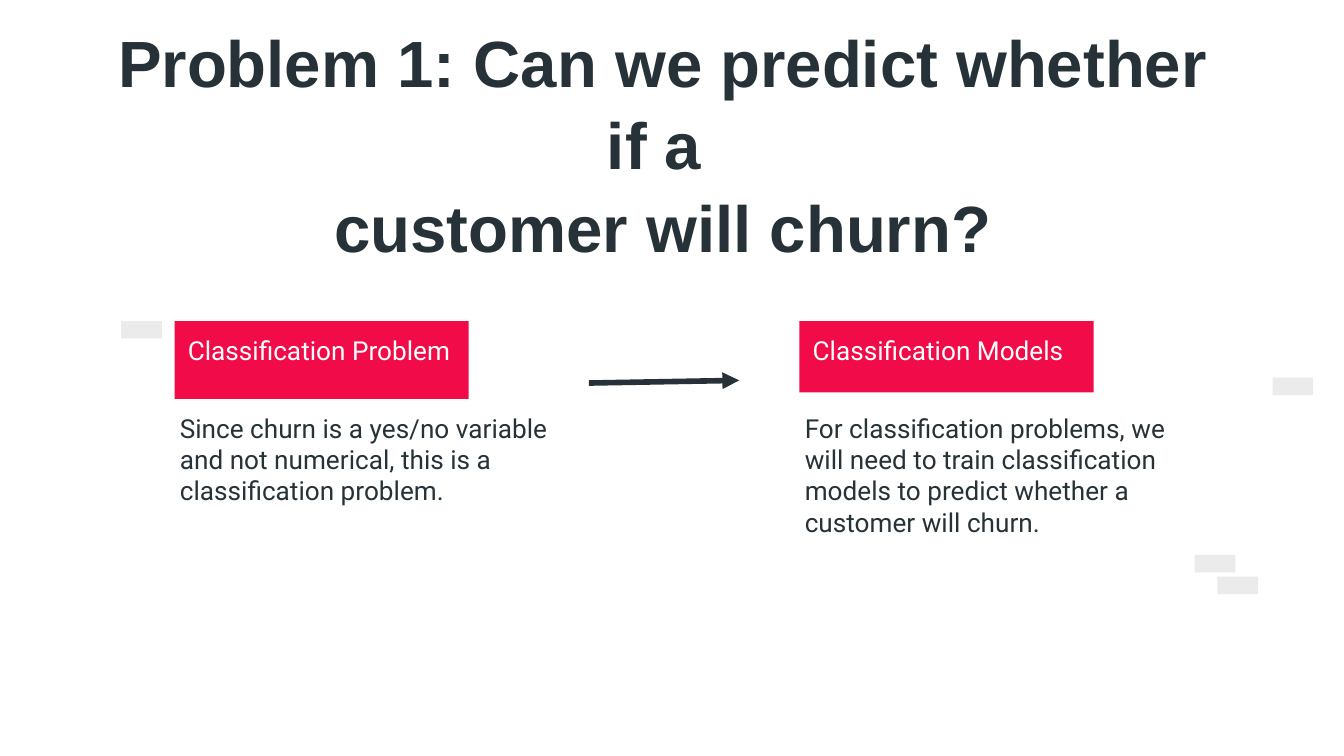
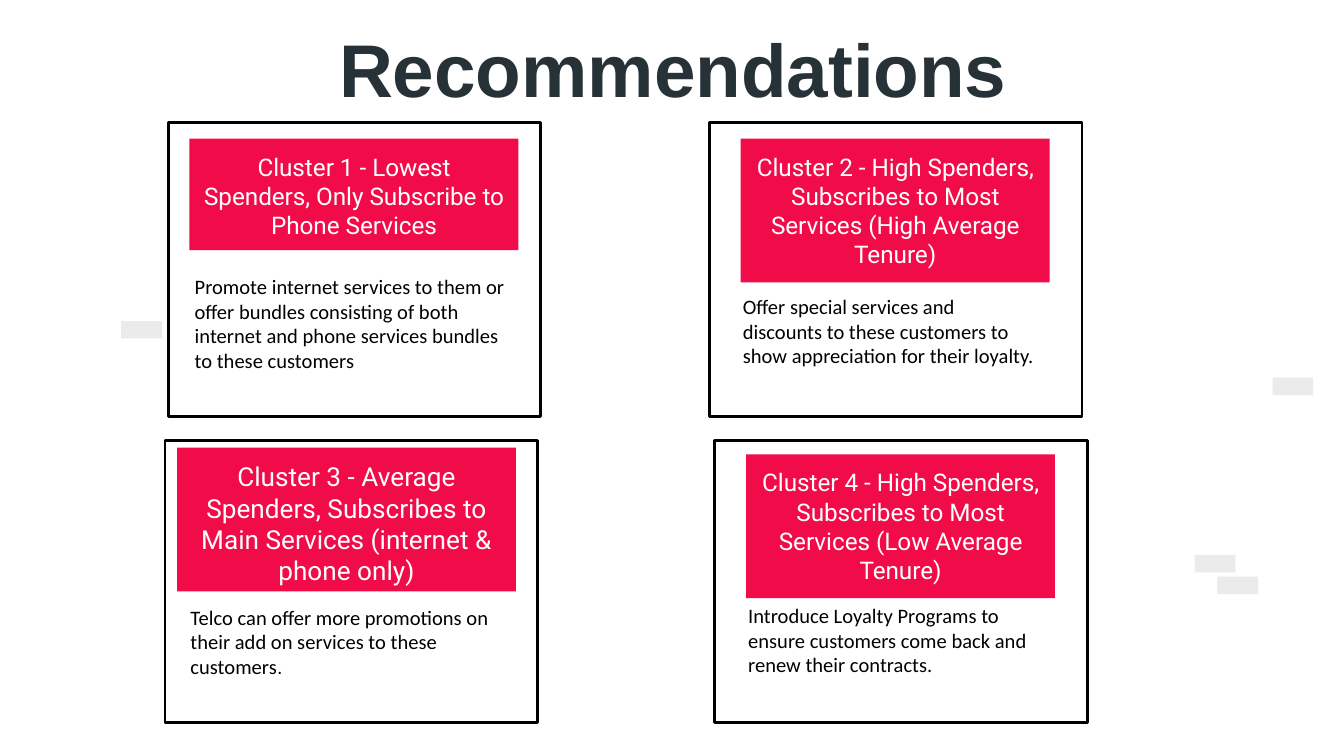
from dataclasses import dataclass

from lxml import etree
from pptx import Presentation
from pptx.dml.color import RGBColor
from pptx.enum.shapes import MSO_CONNECTOR, MSO_SHAPE
from pptx.enum.text import MSO_ANCHOR, MSO_AUTO_SIZE, PP_ALIGN
from pptx.oxml.ns import qn
from pptx.util import Cm, Pt

RECTANGLE = MSO_SHAPE.RECTANGLE
STRAIGHT = MSO_CONNECTOR.STRAIGHT
TOP, MIDDLE = MSO_ANCHOR.TOP, MSO_ANCHOR.MIDDLE
LEFT, CENTER = PP_ALIGN.LEFT, PP_ALIGN.CENTER
NO_AUTOFIT = MSO_AUTO_SIZE.NONE
TITLE_ONLY = 5


@dataclass(frozen=True)
class Theme:
    ink: RGBColor = RGBColor.from_string("263238")
    accent: RGBColor = RGBColor.from_string("F10B48")
    mark: RGBColor = RGBColor.from_string("EBEBEB")
    black: RGBColor = RGBColor.from_string("000000")
    white: RGBColor = RGBColor.from_string("FFFFFF")
    title_font: str = "Arial"
    body_font: str = "Roboto"
    note_font: str = "Calibri"
    question_size: float = 35
    title_size: float = 40
    body_size: float = 14
    label_size: float = 13
    note_size: float = 11
    stop_size: float = 10.5
    card_line: float = 1.5
    arrow_line: float = 3


THEME = Theme()

MARKS = [(23.01, 10.9), (24.05, 7.14), (2.29, 6.07), (22.58, 10.49)]
MARK_SIZE = (0.77, 0.33)
TITLE_SIZE = (21.41, 1.96)

COLUMN_STEP = 11.81
STEPS = [
    ("Classification Problem", 1.47,
     "Since churn is a yes/no variable and not numerical, this is a classification problem."),
    ("Classification Models", 1.35,
     "For classification problems, we will need to train classification models "
     "to predict whether a customer will churn."),
]

CLUSTERS = [
    ((3.18, 2.31, 7.04, 5.56), (3.58, 2.62, 6.22, 2.11), (3.43, 4.93, 6.5, 3.4),
     THEME.label_size, "Cluster 1 - Lowest Spenders, Only Subscribe to Phone Services",
     "Promote internet services to them or offer bundles consisting of both "
     "internet and phone services bundles to these customers", ""),
    ((13.41, 2.31, 7.04, 5.56), (14, 2.62, 5.84, 2.72), (13.79, 5.31, 6.05, 2.39),
     THEME.label_size,
     "Cluster 2 - High Spenders, Subscribes to Most Services (High Average Tenure)",
     "Offer special services and discounts to these customers to show "
     "appreciation for their loyalty.", ""),
    ((3.12, 8.33, 7.04, 5.33), (3.35, 8.46, 6.4, 2.72), (3.35, 11.18, 6.22, 2.46),
     THEME.body_size,
     "Cluster 3 - Average Spenders, Subscribes to Main Services (internet & phone only)",
     "Telco can offer more promotions on their add on services to these customers", "."),
    ((13.51, 8.33, 7.04, 5.33), (14.1, 8.59, 5.84, 2.72), (13.89, 11.15, 5.84, 2.92),
     THEME.label_size,
     "Cluster 4 - High Spenders, Subscribes to Most Services (Low Average Tenure)",
     "Introduce Loyalty Programs to ensure customers come back and renew their contracts.",
     ""),
]


class DeckBuilder:
    def __init__(self, theme):
        self.theme = theme
        self.deck = Presentation()
        self.deck.slide_width, self.deck.slide_height = Cm(25.4), Cm(14.29)
        self.page = None

    def add_page(self, lines, left, top, size):
        self.page = self.deck.slides.add_slide(self.deck.slide_layouts[TITLE_ONLY])
        for mark in MARKS:
            self.rectangle((*mark, *MARK_SIZE), fill=self.theme.mark)
        title = self.page.shapes.title
        title.left, title.top = Cm(left), Cm(top)
        title.width, title.height = map(Cm, TITLE_SIZE)
        self.set_text(title, lines, self.theme.title_font, size, self.theme.ink,
                      align=CENTER, anchor=MIDDLE, bold=True)
        for para in title.text_frame.paragraphs:
            para.line_spacing = 1.05

    def set_text(self, box, lines, font, size, color, align=LEFT, anchor=TOP, bold=False):
        frame = box.text_frame
        frame.word_wrap = True
        frame.auto_size = NO_AUTOFIT
        frame.vertical_anchor = anchor
        frame.margin_left = frame.margin_right = Cm(0.25)
        frame.margin_top = frame.margin_bottom = Cm(0.25)
        frame.text = "\n".join(lines)
        for para in frame.paragraphs:
            para.alignment = align
            para.space_before = Pt(0)
            para.font.name, para.font.size = font, Pt(size)
            para.font.bold = bold
            para.font.color.rgb = color

    def rectangle(self, area, fill=None, line=None):
        box = self.page.shapes.add_shape(RECTANGLE, *map(Cm, area))
        box.shadow.inherit = False
        if fill is None:
            box.fill.background()
        else:
            box.fill.solid()
            box.fill.fore_color.rgb = fill
        if line is None:
            box.line.fill.background()
        else:
            box.line.color.rgb = line
            box.line.width = Pt(self.theme.card_line)
        return box

    def label(self, area, text, size, align=LEFT):
        box = self.rectangle(area, fill=self.theme.accent)
        self.set_text(box, [text], self.theme.body_font, size, self.theme.white, align)

    def text(self, area, text, font, size, color):
        box = self.page.shapes.add_textbox(*map(Cm, area))
        self.set_text(box, [text], font, size, color)
        return box

    def arrow(self, start, end):
        arrow = self.page.shapes.add_connector(STRAIGHT, *map(Cm, (*start, *end)))
        arrow.line.color.rgb = self.theme.ink
        arrow.line.width = Pt(self.theme.arrow_line)
        properties = arrow._element.spPr
        etree.SubElement(properties.find(qn("a:ln")), qn("a:tailEnd"), type="triangle")
        etree.SubElement(properties, qn("a:effectLst"))


def build_problem(builder):
    theme = builder.theme
    builder.add_page(["Problem 1: Can we predict whether if a ", "customer will churn?"],
                     1.83, 1.7, theme.question_size)
    for index, (heading, height, detail) in enumerate(STEPS):
        shift = index * COLUMN_STEP
        builder.label((3.3 + shift, 6.07, 5.56, height), heading, theme.body_size)
        builder.text((3.15 + shift, 7.54, 7.82, 2.62), detail,
                     theme.body_font, theme.body_size, theme.ink)
    builder.arrow((11.13, 7.24), (13.97, 7.19))


def build_recommendations(builder):
    theme = builder.theme
    builder.add_page(["Recommendations"], 2.01, 0.25, theme.title_size)
    for card, label, note, size, heading, advice, stop in CLUSTERS:
        builder.rectangle(card, line=theme.black)
        builder.label(label, heading, size, CENTER)
        box = builder.text(note, advice, theme.note_font, theme.note_size, theme.black)
        if stop:
            span = box.text_frame.paragraphs[0].add_run()
            span.text = stop
            span.font.name, span.font.size = theme.title_font, Pt(theme.stop_size)


def main():
    builder = DeckBuilder(THEME)
    build_problem(builder)
    build_recommendations(builder)
    builder.deck.save("out.pptx")


if __name__ == "__main__":
    main()
